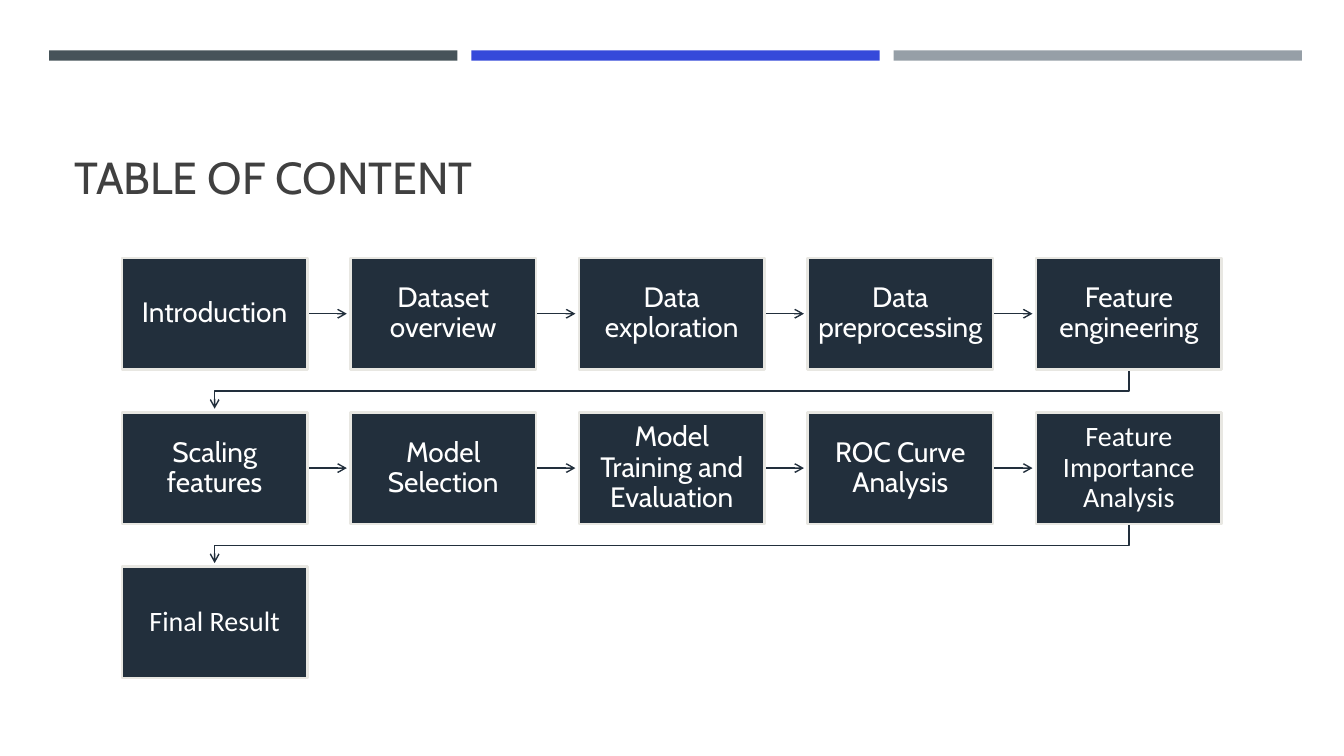
from pptx import Presentation
from pptx.dml.color import RGBColor
from pptx.enum.shapes import MSO_CONNECTOR, MSO_SHAPE
from pptx.enum.text import MSO_ANCHOR, PP_ALIGN
from pptx.oxml.ns import qn
from pptx.util import Cm, Pt
from lxml import etree

RECTANGLE = MSO_SHAPE.RECTANGLE
STRAIGHT = MSO_CONNECTOR.STRAIGHT
LEFT, CENTER = PP_ALIGN.LEFT, PP_ALIGN.CENTER
MIDDLE, BOTTOM = MSO_ANCHOR.MIDDLE, MSO_ANCHOR.BOTTOM

NAVY = RGBColor(0x22, 0x2F, 0x3C)
IVORY = RGBColor(0xE8, 0xE7, 0xE2)
WHITE = RGBColor(0xFF, 0xFF, 0xFF)
CHARCOAL = RGBColor(0x40, 0x40, 0x40)
SLATE = RGBColor(0x46, 0x53, 0x59)
BLUE = RGBColor(0x35, 0x49, 0xDA)
GRAY = RGBColor(0x96, 0x9F, 0xA7)

# Content
TITLE = "TABLE OF CONTENT"
BAR_COLORS = [SLATE, BLUE, GRAY]
STEPS = [
    ("Introduction", "Cabin"),
    ("Dataset overview", "Cabin"),
    ("Data exploration", "Cabin"),
    ("Data preprocessing", "Cabin"),
    ("Feature engineering", "Cabin"),
    ("Scaling features", "Cabin"),
    ("Model Selection", "Cabin"),
    ("Model Training and Evaluation", "Cabin"),
    ("ROC Curve Analysis", "Cabin"),
    ("Feature Importance Analysis", "Calibri"),
    ("Final Result", "Calibri"),
]

# Layout in centimetres
BAR_LEFT, BAR_TOP, BAR_WIDTH, BAR_HEIGHT, BAR_PITCH = 1.24, 1.27, 10.29, 0.26, 10.64
COLUMNS = 5
GRID_LEFT, GRID_TOP = 3.07, 6.5
BOX_WIDTH, BOX_HEIGHT = 4.68, 2.81
COLUMN_PITCH, ROW_PITCH = 5.76, 3.89
ARROW_GAP = 0.09
BOX_INSET = 0.22


def write_text(shape, text, *, font, size, color, align, anchor,
               line_spacing=1.0, inset=None):
    frame = shape.text_frame
    frame.word_wrap = True
    frame.vertical_anchor = anchor
    if inset is not None:
        frame.margin_left = frame.margin_right = Cm(inset)
        frame.margin_top = frame.margin_bottom = Cm(inset)
    paragraph = frame.paragraphs[0]
    paragraph.alignment = align
    paragraph.line_spacing = line_spacing
    run = paragraph.add_run()
    run.text = text
    run.font.name = font
    run.font.size = Pt(size)
    run.font.color.rgb = color


def add_rectangle(slide, left, top, width, height, fill):
    shape = slide.shapes.add_shape(
        RECTANGLE, Cm(left), Cm(top), Cm(width), Cm(height))
    shape.shadow.inherit = False
    shape.fill.solid()
    shape.fill.fore_color.rgb = fill
    shape.line.fill.background()
    return shape


def style_arrow(arrow):
    arrow.line.color.rgb = NAVY
    arrow.line.width = Pt(1)
    outline = arrow.line._get_or_add_ln()
    etree.SubElement(outline, qn("a:tailEnd"), type="arrow")


def add_straight_arrow(slide, start, end):
    arrow = slide.shapes.add_connector(STRAIGHT, *map(Cm, start + end))
    style_arrow(arrow)
    etree.SubElement(arrow._element.spPr, qn("a:effectLst"))


def add_return_arrow(slide, points):
    corners = [(Cm(x), Cm(y)) for x, y in points]
    builder = slide.shapes.build_freeform(*corners[0])
    builder.add_line_segments(corners[1:], close=False)
    arrow = builder.convert_to_shape()
    arrow.fill.background()
    style_arrow(arrow)
    arrow.shadow.inherit = False


def box_position(index):
    row, column = divmod(index, COLUMNS)
    return GRID_LEFT + column * COLUMN_PITCH, GRID_TOP + row * ROW_PITCH


def main():
    presentation = Presentation()
    presentation.slide_width, presentation.slide_height = Cm(33.87), Cm(19.05)
    slide = presentation.slides.add_slide(presentation.slide_layouts[6])

    # Bars across the top
    for index, color in enumerate(BAR_COLORS):
        add_rectangle(slide, BAR_LEFT + index * BAR_PITCH, BAR_TOP,
                      BAR_WIDTH, BAR_HEIGHT, color)

    # Title
    title = slide.shapes.add_textbox(Cm(1.63), Cm(1.96), Cm(30.63), Cm(3.3))
    write_text(title, TITLE, font="Cabin", size=32, color=CHARCOAL,
               align=LEFT, anchor=BOTTOM)

    # Steps, each with an arrow to the next one
    for index, (text, font) in enumerate(STEPS):
        left, top = box_position(index)
        if index < len(STEPS) - 1:
            next_left, next_top = box_position(index + 1)
            if next_top == top:
                middle = top + BOX_HEIGHT / 2
                add_straight_arrow(slide, (left + BOX_WIDTH, middle),
                                   (next_left - ARROW_GAP, middle))
            else:
                start_x = left + BOX_WIDTH / 2
                end_x = next_left + BOX_WIDTH / 2
                bottom = top + BOX_HEIGHT
                turn = (bottom + next_top) / 2
                add_return_arrow(slide, [
                    (start_x, bottom), (start_x, turn),
                    (end_x, turn), (end_x, next_top - ARROW_GAP)])
        box = add_rectangle(slide, left, top, BOX_WIDTH, BOX_HEIGHT, NAVY)
        box.line.color.rgb = IVORY
        box.line.width = Pt(1.75)
        write_text(box, text, font=font, size=20, color=WHITE, align=CENTER,
                   anchor=MIDDLE, line_spacing=0.9, inset=BOX_INSET)

    presentation.save("out.pptx")


if __name__ == "__main__":
    main()
